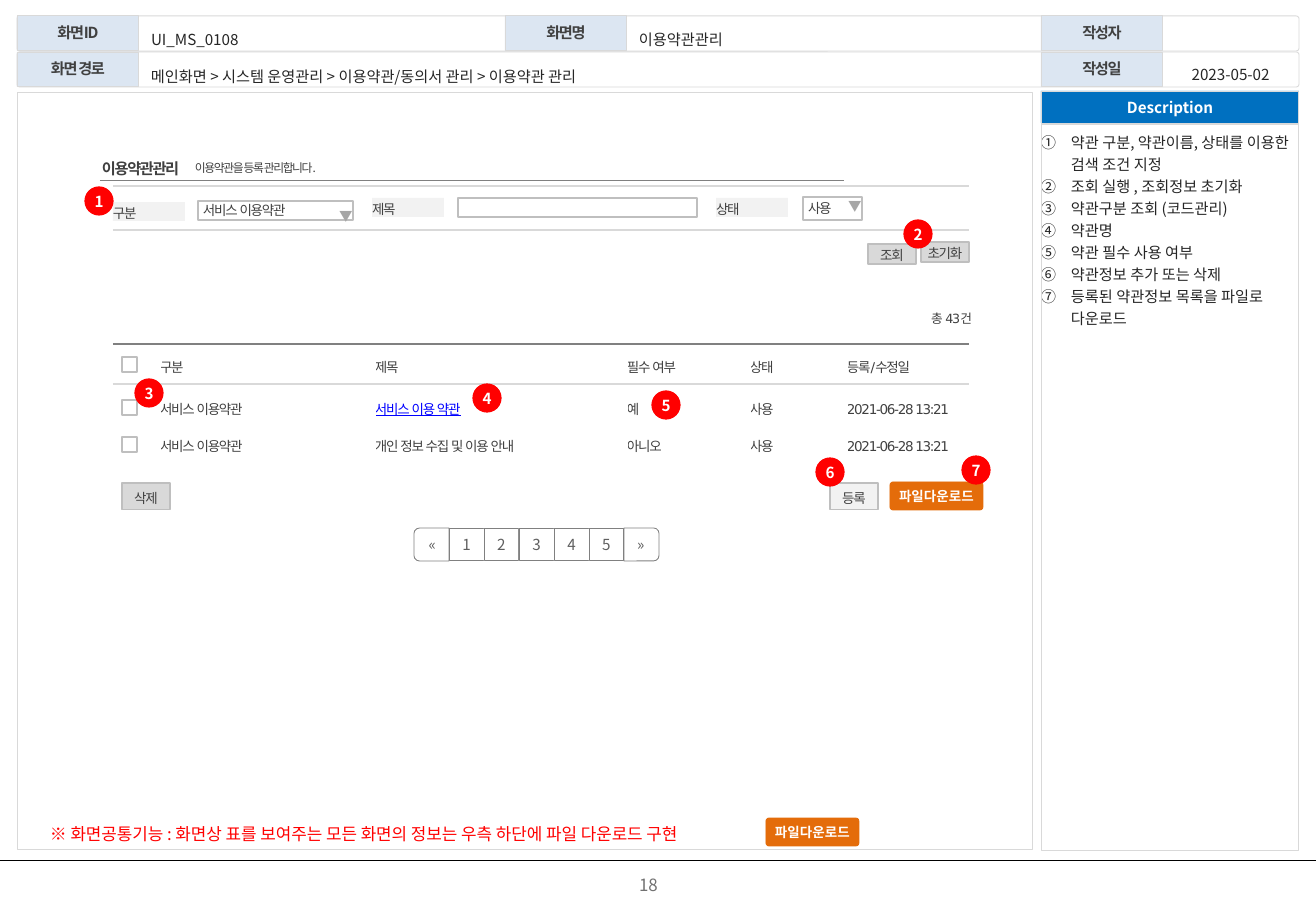
from lxml import etree
from pptx import Presentation
from pptx import util as u
from pptx.dml import color as c
from pptx.enum import shapes, text
from pptx.oxml import ns

SCALE = 914400 / 121.5
SANS, DEJAVU = "Noto Sans CJK KR", "DejaVu Sans"
RECT, ROUND = shapes.MSO_SHAPE.RECTANGLE, shapes.MSO_SHAPE.ROUNDED_RECTANGLE
LEFT, CENTER = text.PP_ALIGN.LEFT, text.PP_ALIGN.CENTER
MIDDLE, TOP = text.MSO_ANCHOR.MIDDLE, text.MSO_ANCHOR.TOP

LABEL = dict(size=9, bold=True, color="404040", spacing=-0.8, line=0.9, align=CENTER)
VALUE = dict(size=9, color="262626", line=1.5, inset=10)
FIELD = dict(font=DEJAVU, size=8, color="404040", spacing=-0.8, line=1.2)
CHOICE = dict(FIELD, line=1, inset=5)
ARROW = dict(size=8, bold=True, color="A6A6A6", align=CENTER)
PAGER = dict(size=9, color="5F5F5F", align=CENTER)
WHITE = dict(bold=True, color="FFFFFF", align=CENTER)

COLUMNS = [215, 252, 123, 97, 122]
ROWS = [
    (40, ["구분", "제목", "필수 여부", "상태", "등록/수정일"]),
    (44, ["서비스 이용약관", "서비스 이용 약관", "예", "사용", "2021-06-28 13:21"]),
    (31, ["서비스 이용약관", "개인 정보 수집 및 이용 안내", "아니오", "사용", "2021-06-28 13:21"]),
]
DESCRIPTION = [
    "약관 구분, 약관이름, 상태를 이용한 검색 조건 지정",
    "조회 실행 , 조회정보 초기화",
    "약관구분 조회 (코드관리)",
    "약관명",
    "약관 필수 사용 여부",
    "약관정보 추가 또는 삭제",
    "등록된 약관정보 목록을 파일로 다운로드",
]
BADGES = [(85, 187), (904, 220), (135, 379), (473, 384), (652, 391), (816, 458), (962, 456)]


def px(length):
    """Turn pixels into EMU."""
    return u.Emu(round(length * SCALE))


def rgb(value):
    """Turn a hex string into a colour."""
    return c.RGBColor.from_string(value)


def write(frame, content, font=SANS, size=9, color="262626", bold=False, underline=False,
          spacing=0, line=1, align=LEFT, anchor=MIDDLE, inset=0, numbered=False):
    """Fill a text frame with one or more formatted paragraphs."""
    frame.word_wrap = True
    frame.auto_size = text.MSO_AUTO_SIZE.NONE
    frame.vertical_anchor = anchor
    frame.margin_left = px(inset)
    frame.margin_top = frame.margin_right = frame.margin_bottom = 0
    lines = [content] if isinstance(content, str) else content
    for index, words in enumerate(lines):
        para = frame.add_paragraph() if index else frame.paragraphs[0]
        para.alignment, para.line_spacing = align, line
        para.space_before = para.space_after = u.Pt(0)
        if numbered:
            props = para._p.get_or_add_pPr()
            props.set("marL", str(px(30)))
            props.set("indent", str(-px(30)))
            etree.SubElement(props, ns.qn("a:buAutoNum"), type="circleNumDbPlain")
        span = para.add_run()
        span.text = words
        span.font.name, span.font.size = font, u.Pt(size)
        span.font.bold, span.font.underline = bold, underline
        span.font.color.rgb = rgb(color)
        props = span._r.get_or_add_rPr()
        props.set("spc", str(round(spacing * 100)))
        etree.SubElement(props, ns.qn("a:ea"), typeface=font)


def add_text(page, rect, content, **form):
    """Add a text box."""
    box = page.shapes.add_textbox(*map(px, rect))
    write(box.text_frame, content, **form)


def add_box(page, rect, content="", kind=RECT, fill=None, edge=None, weight=0.5, radius=None, **form):
    """Add a preset shape with optional fill, outline and text."""
    box = page.shapes.add_shape(kind, *map(px, rect))
    box.shadow.inherit = False
    if radius is not None:
        box.adjustments[0] = radius
    if fill:
        box.fill.solid()
        box.fill.fore_color.rgb = rgb(fill)
    else:
        box.fill.background()
    if edge:
        box.line.color.rgb = rgb(edge)
        box.line.width = u.Pt(weight)
    else:
        box.line.fill.background()
    if content:
        write(box.text_frame, content, **form)
    return box


def add_rule(page, left, right, y, color, weight):
    """Add a horizontal line."""
    rule = page.shapes.add_connector(shapes.MSO_CONNECTOR.STRAIGHT, px(left), px(y), px(right), px(y))
    rule.line.color.rgb = rgb(color)
    rule.line.width = u.Pt(weight)
    etree.SubElement(rule._element.spPr, ns.qn("a:effectLst"))


def fill_placeholder(holder, rect, content, **form):
    """Move a placeholder and write its text."""
    holder.left, holder.top, holder.width, holder.height = map(px, rect)
    write(holder.text_frame, content, **form)


def add_header(page):
    """Add the screen details and the panel frames."""
    for y in (16, 52):
        add_box(page, (17, y, 1282, 35), kind=ROUND, radius=0.08, edge="D9D9D9")
    for x, y, label in [(17, 16, "화면ID"), (505, 16, "화면명"), (1041, 16, "작성자"),
                        (17, 52, "화면 경로"), (1041, 52, "작성일")]:
        add_box(page, (x, y, 122, 35), label, fill="DCE6F2", edge="D9D9D9", **LABEL)
    add_text(page, (141, 16, 363, 38), "UI_MS_0108", **VALUE)
    add_text(page, (629, 16, 412, 38), "이용약관관리", **VALUE)
    add_text(page, (141, 53, 899, 38),
             "메인화면 > 시스템 운영관리 > 이용약관/동의서 관리 > 이용약관 관리", **VALUE)
    add_text(page, (1165, 53, 131, 33), "2023-05-02", **dict(VALUE, inset=0, align=CENTER))
    add_box(page, (17, 92, 1016, 758), edge="D9D9D9")
    add_box(page, (1041, 124, 258, 727), edge="D9D9D9")
    add_box(page, (1041, 91, 258, 32), "Description", fill="0070C0", edge="D9D9D9", **WHITE)


def add_search(page):
    """Add the search conditions."""
    for y in (186, 230):
        add_rule(page, 113, 969, y, "D9D9D9", 1)
    for x, y, label in [(113, 202, "구분"), (372, 198, "제목"), (716, 198, "상태")]:
        add_box(page, (x, y, 72, 19), label, fill="F2F2F2", **FIELD)
    add_box(page, (198, 201, 155, 19), "서비스 이용약관", edge="BFBFBF", weight=1, **CHOICE)
    add_box(page, (458, 198, 239, 19), edge="BFBFBF", weight=1)
    add_box(page, (803, 197, 59, 23), "사용", edge="BFBFBF", weight=1, **CHOICE)
    for x, y in [(337, 207), (846, 197)]:
        add_box(page, (x, y, 18, 18), "▼", **ARROW)


def add_list(page):
    """Add the table of terms with its check boxes."""
    add_text(page, (931, 307, 70, 19), "총 43건", **dict(FIELD, size=7.5))
    heights = [height for height, _ in ROWS]
    table = page.shapes.add_table(len(ROWS), len(COLUMNS), px(160), px(346),
                                  px(sum(COLUMNS)), px(sum(heights))).table
    table.first_row = table.horz_banding = False
    for column, width in zip(table.columns, COLUMNS):
        column.width = px(width)
    for r, (height, words) in enumerate(ROWS):
        table.rows[r].height = px(height)
        for k, word in enumerate(words):
            cell = table.cell(r, k)
            cell.fill.background()
            cell.vertical_anchor = MIDDLE
            cell.margin_left = cell.margin_right = cell.margin_top = cell.margin_bottom = 0
            link = dict(color="0000FF", underline=True) if (r, k) == (1, 1) else {}
            write(cell.text_frame, word, **{**FIELD, **link})
    add_rule(page, 113, 969, 344, "808080", 1)
    add_rule(page, 113, 969, 384, "D9D9D9", 1)
    for y in (357, 400, 437):
        add_box(page, (122, y, 15, 15), edge="BFBFBF", weight=1)


def add_buttons(page):
    """Add the plain buttons and the download buttons."""
    for rect, label, fill in [((868, 244, 48, 20), "조회", "D9D9D9"), ((921, 242, 48, 20), "초기화", "D9D9D9"),
                              ((122, 483, 48, 27), "삭제", "D9D9D9"), ((830, 483, 48, 27), "등록", "F2F2F2")]:
        add_box(page, rect, label, fill=fill, edge="BFBFBF", weight=0.75, **dict(FIELD, align=CENTER))
    for x, y in [(890, 482), (766, 818)]:
        add_box(page, (x, y, 93, 28), "파일다운로드", kind=ROUND, radius=0.11,
                fill="E46C0A", edge="E46C0A", size=8, **WHITE)


def add_pager(page):
    """Add the page selector with rounded ends."""
    style = dict(fill="FFFFFF", edge="808080", **PAGER)
    for number in range(1, 6):
        add_box(page, (414 + 35 * number, 528, 35, 33), str(number), **style)
    for x, mark, angle, flow in [(415, "«", 270, "vert"), (625, "»", 90, "vert270")]:
        end = add_box(page, (x, 527, 33, 35), mark, kind=shapes.MSO_SHAPE.ROUND_2_SAME_RECTANGLE, **style)
        end.rotation = angle
        end.text_frame._txBody.bodyPr.set("vert", flow)


def main():
    """Build the screen design slide."""
    deck = Presentation()
    deck.slide_width, deck.slide_height = px(1316), px(911)
    page = deck.slides.add_slide(deck.slide_layouts[1])
    title, body = page.placeholders
    fill_placeholder(title, (102, 155, 90, 24), "이용약관관리", **dict(LABEL, line=1.2, align=LEFT))
    fill_placeholder(body, (1041, 130, 259, 590), DESCRIPTION, line=1.2, anchor=TOP, numbered=True)
    add_header(page)
    add_text(page, (195, 153, 327, 26), "이용약관을 등록 관리합니다.", **dict(FIELD, font=SANS, size=7))
    add_rule(page, 100, 844, 180, "808080", 0.5)
    add_search(page)
    add_list(page)
    add_buttons(page)
    add_pager(page)
    for number, (x, y) in enumerate(BADGES, 1):
        add_box(page, (x, y, 28, 28), str(number), kind=shapes.MSO_SHAPE.OVAL,
                fill="FF0000", edge="FF0000", weight=0.75, **WHITE)
    add_text(page, (50, 813, 713, 32),
             "※ 화면공통기능 : 화면상 표를 보여주는 모든 화면의 정보는 우측 하단에 파일 다운로드 구현",
             size=10, color="FF0000", line=1.5)
    add_rule(page, 0, 1316, 860, "000000", 0.5)
    add_text(page, (495, 866, 307, 38), "18", size=10, color="717171", align=CENTER)
    deck.save("out.pptx")


main()
